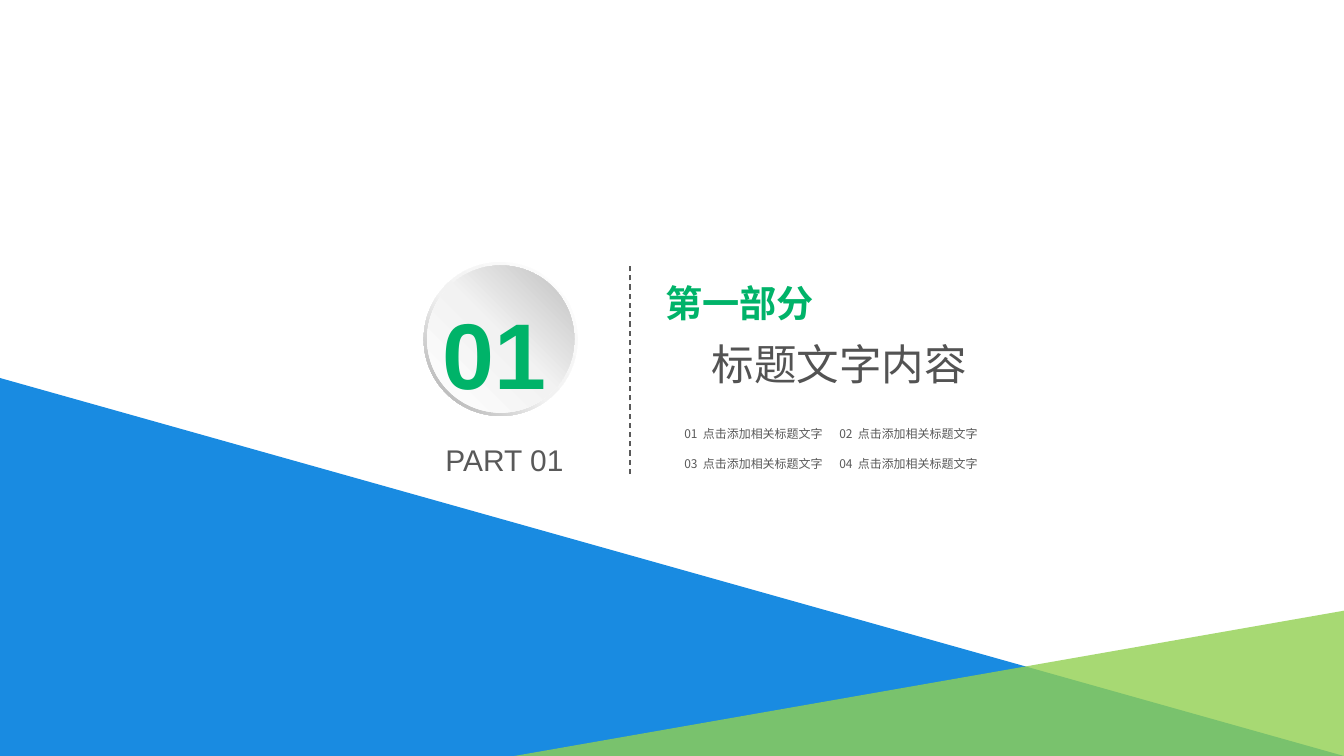
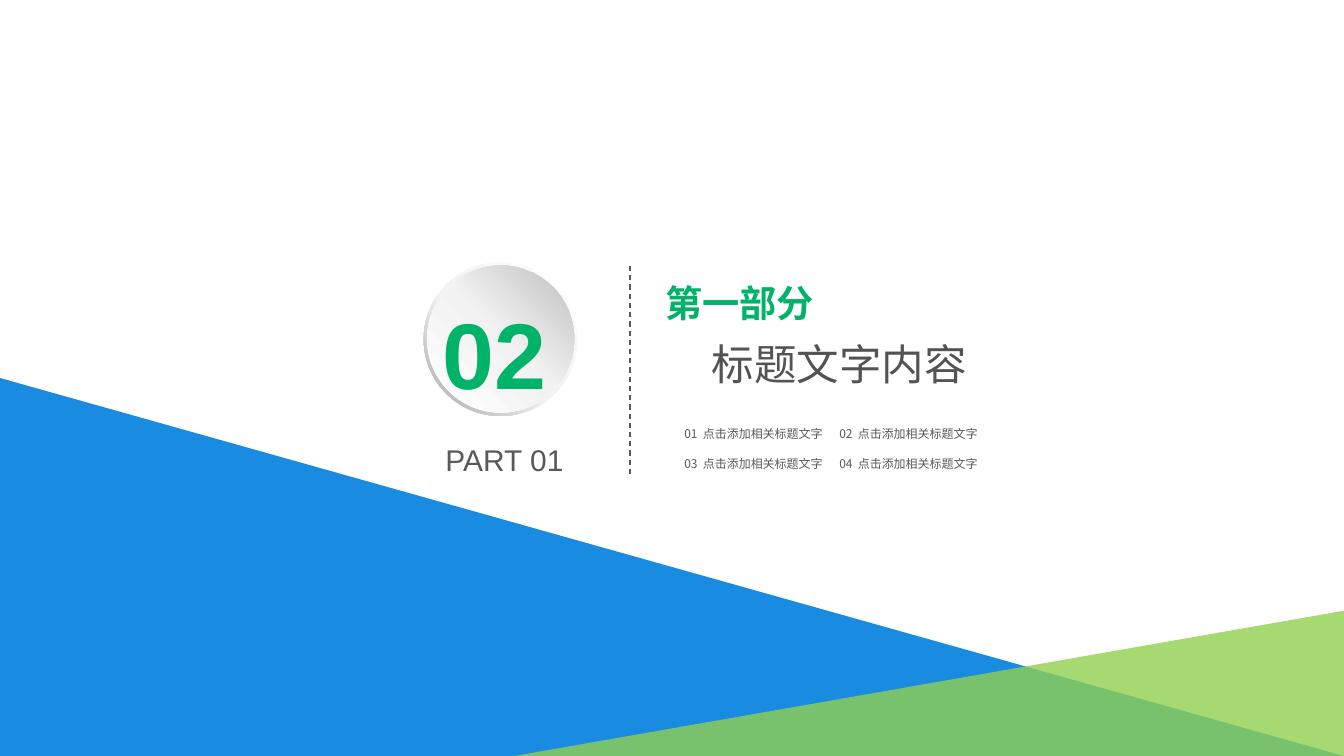
from lxml import etree
from pptx import Presentation
from pptx import util as u
from pptx.dml import color
from pptx.enum import dml, shapes, text
from pptx.oxml import ns

GREEN, GREY, DARK = "00B369", "595959", "535353"
BLUE, LIME = "007FDE", "92D050"
LATIN, CHINESE = "Arial", "Noto Sans CJK SC"
ITEM = "点击添加相关标题文字"


def rgb(value):
    return color.RGBColor.from_string(value)


def add_element(parent, tag, **attributes):
    return etree.SubElement(parent, ns.qn(tag), attributes)


class Deck:
    def __init__(self, width, height):
        self.deck = Presentation()
        self.deck.slide_width = u.Inches(width)
        self.deck.slide_height = u.Inches(height)
        self.page = None

    def x(self, percent):
        return u.Emu(round(self.deck.slide_width * percent / 100))

    def y(self, percent):
        return u.Emu(round(self.deck.slide_height * percent / 100))

    def frame(self, left, top, width, height):
        return self.x(left), self.y(top), self.x(width), self.y(height)

    def new_page(self):
        self.page = self.deck.slides.add_slide(self.deck.slide_layouts[5])

    def band(self, points, fill, opacity):
        corners = [(self.x(left), self.y(top)) for left, top in points]
        builder = self.page.shapes.build_freeform(*corners[0])
        builder.add_line_segments(corners[1:], close=True)
        band = builder.convert_to_shape()
        band.shadow.inherit = False
        band.line.fill.background()
        band.fill.solid()
        band.fill.fore_color.rgb = rgb(fill)
        tint = band.fill._xPr.find(".//" + ns.qn("a:srgbClr"))
        add_element(tint, "a:alpha", val=str(opacity * 1000))

    def disc(self, group, kind, centre, diameter, stops, angle):
        size = self.x(diameter)
        left, top = self.x(centre[0]) - size // 2, self.y(centre[1]) - size // 2
        disc = group.shapes.add_shape(kind, left, top, size, size)
        disc.shadow.inherit = False
        disc.line.fill.background()
        disc.fill.gradient()
        gradient = disc.fill._xPr.find(ns.qn("a:gradFill"))
        for child in list(gradient):
            gradient.remove(child)
        stop_list = add_element(gradient, "a:gsLst")
        for position, shade in stops:
            stop = add_element(stop_list, "a:gs", pos=str(position * 1000))
            add_element(stop, "a:srgbClr", val=shade)
        add_element(gradient, "a:lin", ang=str(angle * 60000), scaled="0")
        return disc

    def badge(self, centre):
        group = self.page.shapes.add_group_shape()
        ring = self.disc(group, shapes.MSO_SHAPE.DONUT, centre, 11.45,
                         [(0, "FFFFFF"), (55, "F2F2F2"), (100, "A6A6A6")], 135)
        ring.adjustments[0] = 0.05
        self.disc(group, shapes.MSO_SHAPE.OVAL, centre, 10.95,
                  [(0, "FFFFFF"), (51, "F2F2F2"), (100, "BFBFBF")], 315)

    def divider(self, left, top, bottom):
        line = self.page.shapes.add_connector(
            shapes.MSO_CONNECTOR.STRAIGHT,
            self.x(left), self.y(bottom), self.x(left), self.y(top))
        line.line.color.rgb = rgb(GREY)
        line.line.width = u.Pt(1)
        line.line.dash_style = dml.MSO_LINE.DASH
        add_element(line._element.spPr, "a:effectLst")

    def span(self, para, words, size, fill, font, bold=False):
        span = para.add_run()
        span.text = words
        span.font.size = u.Pt(size)
        span.font.bold = bold
        span.font.name = font
        span.font.color.rgb = rgb(fill)
        add_element(span._r.get_or_add_rPr(), "a:ea", typeface=font)
        return span

    def plain_frame(self, box, wrap):
        frame = box.text_frame
        frame.auto_size = text.MSO_AUTO_SIZE.NONE
        frame.vertical_anchor = text.MSO_ANCHOR.TOP
        frame.word_wrap = wrap
        frame.margin_left = frame.margin_right = 0
        frame.margin_top = frame.margin_bottom = 0
        return frame

    def label(self, place, wrap=True):
        box = self.page.shapes.add_textbox(*self.frame(*place))
        return self.plain_frame(box, wrap).paragraphs[0]

    def title(self, place, part, heading):
        box = self.page.shapes.title
        box.left, box.top, box.width, box.height = self.frame(*place)
        frame = self.plain_frame(box, True)
        first, second = frame.paragraphs[0], frame.add_paragraph()
        for para, indent in ((first, 1.2), (second, 2.7)):
            para._p.get_or_add_pPr().set("marL", str(self.x(indent)))
        first.alignment = text.PP_ALIGN.LEFT
        second.alignment = text.PP_ALIGN.CENTER
        second.space_before = u.Pt(10)
        self.span(first, part, 28, GREEN, CHINESE, True)
        self.span(second, heading, 32, DARK, CHINESE)

    def items(self, left, top, column, row, count):
        for index in range(count):
            place = (left + index % 2 * column, top + index // 2 * row, 10.4, 2.6)
            para = self.label(place, wrap=False)
            self.span(para, f"{index + 1:02d}", 9, GREY, CHINESE)
            gap = self.span(para, " ", 9, GREY, CHINESE)
            gap._r.get_or_add_rPr().set("spc", "200")
            self.span(para, ITEM, 9, GREY, CHINESE)

    def section(self, number):
        self.new_page()
        self.band([(0, 50), (100, 100), (0, 100)], BLUE, 90)
        self.band([(100, 80.78), (38.26, 100), (100, 100)], LIME, 80)
        self.title((48.29, 37.04, 25.6, 17.95), "第一部分", "标题文字内容")
        self.divider(46.87, 35.15, 62.71)
        self.span(self.label((33.14, 58.4, 9.89, 4.8)), "PART 01", 22.5, GREY, LATIN)
        self.badge((37.25, 44.85))
        self.span(self.label((32.93, 39.13, 9.89, 14.92)), number, 70.3, GREEN, LATIN, True)
        self.items(50.92, 56.45, 11.53, 3.92, 4)


def main():
    deck = Deck(14.06, 7.91)
    for number in ("01", "02"):
        deck.section(number)
    deck.deck.save("out.pptx")


if __name__ == "__main__":
    main()
